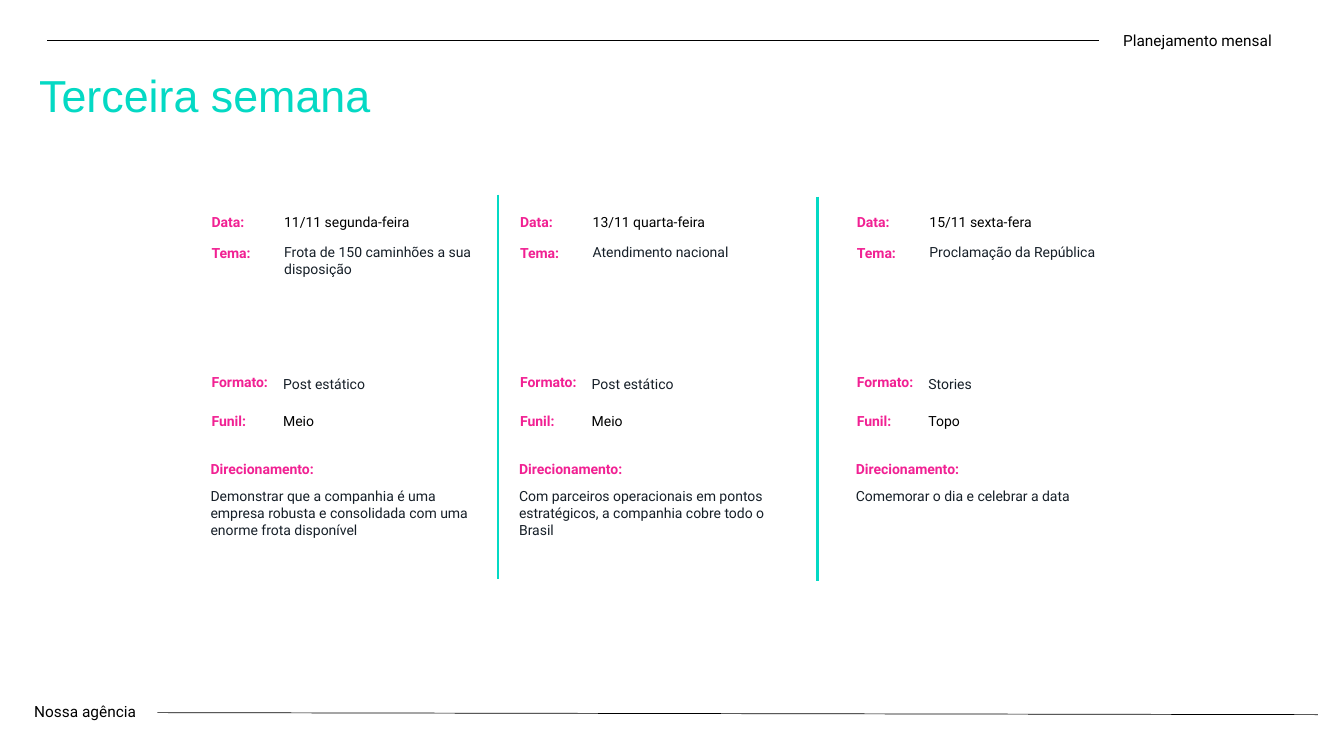
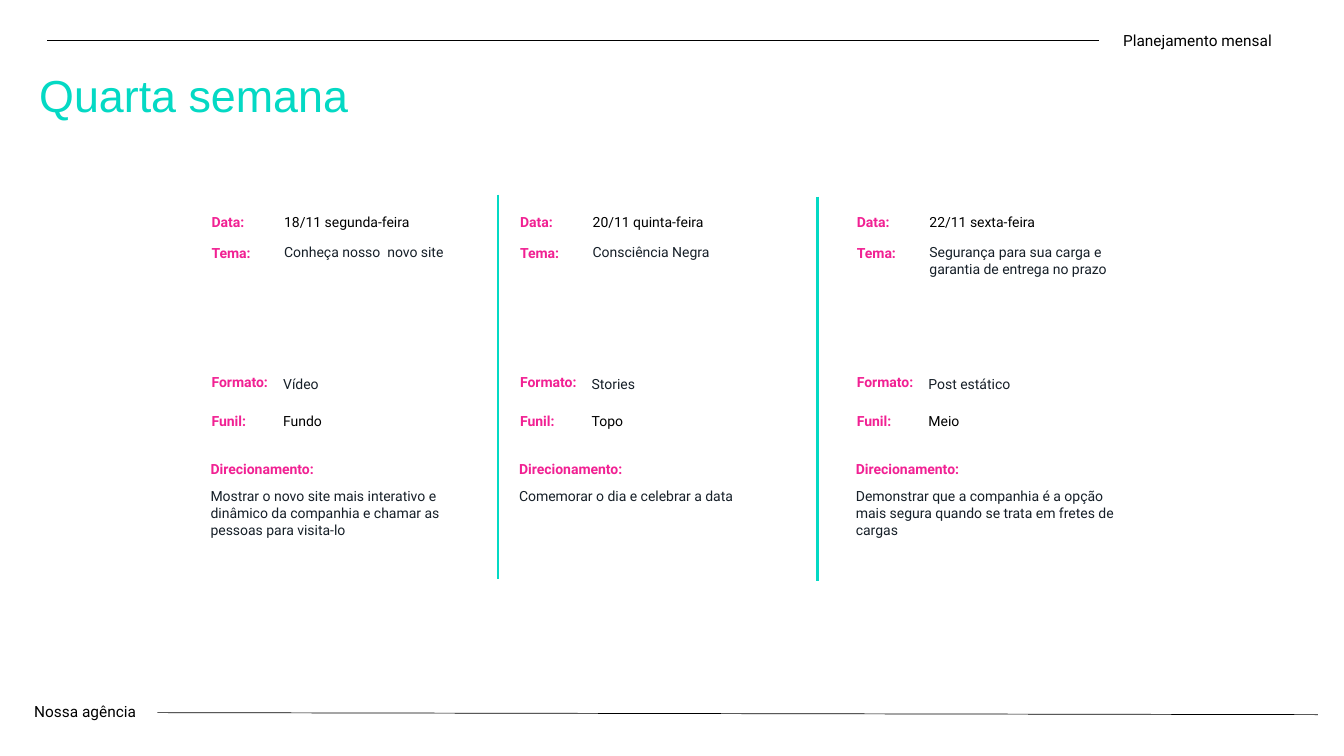
from lxml import etree
from pptx import Presentation
from pptx.dml.color import RGBColor
from pptx.enum.shapes import MSO_CONNECTOR
from pptx.enum.text import MSO_AUTO_SIZE
from pptx.oxml.ns import qn
from pptx.util import Inches, Pt

# Shared palette and fonts
TEAL, PINK, INK, BLACK = "04D9C4", "F12193", "161F28", "000000"
TITLE_FONT, BODY_FONT = "Arial", "Roboto"

# Post columns: left edges, shared top, and the dividers as (x, top)
COLUMN_LEFTS = (2.0, 5.06, 8.4)
COLUMN_TOP = 2.07
DIVIDERS = ((4.94, 1.93), (8.11, 1.95))
DIVIDER_HEIGHT = 3.81

# Fields of a post: label, label offset, value offset (x, y), value width, colour
FIELDS = (
    ("Data:", 0, (0.72, 0), 2.22, BLACK),
    ("Tema:", 0.31, (0.72, 0.3), 2.22, INK),
    ("Formato:", 1.59, (0.71, 1.61), 2.22, INK),
    ("Funil:", 1.97, (0.71, 1.97), 2.22, BLACK),
    ("Direcionamento:", 2.45, (-0.01, 2.72), 2.95, INK),
)

WEEKS = (
    ("Terceira semana", (
        ("11/11 segunda-feira", "Frota de 150 caminhões a sua disposição",
         "Post estático", "Meio",
         "Demonstrar que a companhia é uma empresa robusta e consolidada "
         "com uma enorme frota disponível"),
        ("13/11 quarta-feira", "Atendimento nacional", "Post estático", "Meio",
         "Com parceiros operacionais em pontos estratégicos, "
         "a companhia cobre todo o Brasil"),
        ("15/11 sexta-fera", "Proclamação da República", "Stories", "Topo",
         "Comemorar o dia e celebrar a data"),
    )),
    ("Quarta semana", (
        ("18/11 segunda-feira", "Conheça nosso  novo site", "Vídeo", "Fundo",
         "Mostrar o novo site mais interativo e dinâmico da companhia "
         "e chamar as pessoas para visita-lo"),
        ("20/11 quinta-feira", "Consciência Negra", "Stories", "Topo",
         "Comemorar o dia e celebrar a data"),
        ("22/11 sexta-feira",
         "Segurança para sua carga e garantia de entrega no prazo",
         "Post estático", "Meio",
         "Demonstrar que a companhia é a opção mais segura "
         "quando se trata em fretes de cargas"),
    )),
)


def color(value):
    return RGBColor.from_string(value)


def add_text(slide, text, left, top, width, height=0.27, size=10,
             fill=BLACK, font=BODY_FONT, bold=False):
    box = slide.shapes.add_textbox(
        Inches(left), Inches(top), Inches(width), Inches(height))
    frame = box.text_frame
    frame.word_wrap = True
    frame.auto_size = MSO_AUTO_SIZE.SHAPE_TO_FIT_TEXT
    run = frame.paragraphs[0].add_run()
    run.text = text
    run.font.name = font
    run.font.size = Pt(size)
    run.font.bold = bold
    run.font.color.rgb = color(fill)


def add_line(slide, start, end, stroke=BLACK, weight=0.5):
    line = slide.shapes.add_connector(
        MSO_CONNECTOR.STRAIGHT, *(Inches(value) for value in (*start, *end)))
    line.line.color.rgb = color(stroke)
    line.line.width = Pt(weight)
    etree.SubElement(line._element.spPr, qn("a:effectLst"))


def add_header(slide, title):
    add_text(slide, title, 0.29, 0.62, 11.13, 0.64, 32, TEAL, TITLE_FONT)
    add_line(slide, (0.47, 0.4), (10.9, 0.4))
    add_text(slide, "Planejamento mensal", 11.04, 0.26, 2.09, 0.29, 11)


def add_footer(slide):
    add_text(slide, "Nossa agência", 0.24, 6.92, 1.25, 0.29, 11)
    add_line(slide, (1.56, 7.07), (13.07, 7.09))


def add_post(slide, post, left, top):
    for (label, label_dy, (dx, dy), width, fill), value in zip(FIELDS, post):
        label_left = left + min(dx, 0)
        add_text(slide, label, label_left, top + label_dy, 1.42,
                 fill=PINK, bold=True)
        add_text(slide, value, left + dx, top + dy, width, fill=fill)


def add_week(deck, title, posts):
    slide = deck.slides.add_slide(deck.slide_layouts[6])
    add_header(slide, title)
    add_footer(slide)
    for post, left in zip(posts, COLUMN_LEFTS):
        add_post(slide, post, left, COLUMN_TOP)
    for x, top in DIVIDERS:
        add_line(slide, (x, top), (x, top + DIVIDER_HEIGHT), TEAL, 2)


def main():
    deck = Presentation()
    deck.slide_width, deck.slide_height = Inches(13.33), Inches(7.5)
    for title, posts in WEEKS:
        add_week(deck, title, posts)
    deck.save("out.pptx")


if __name__ == "__main__":
    main()
